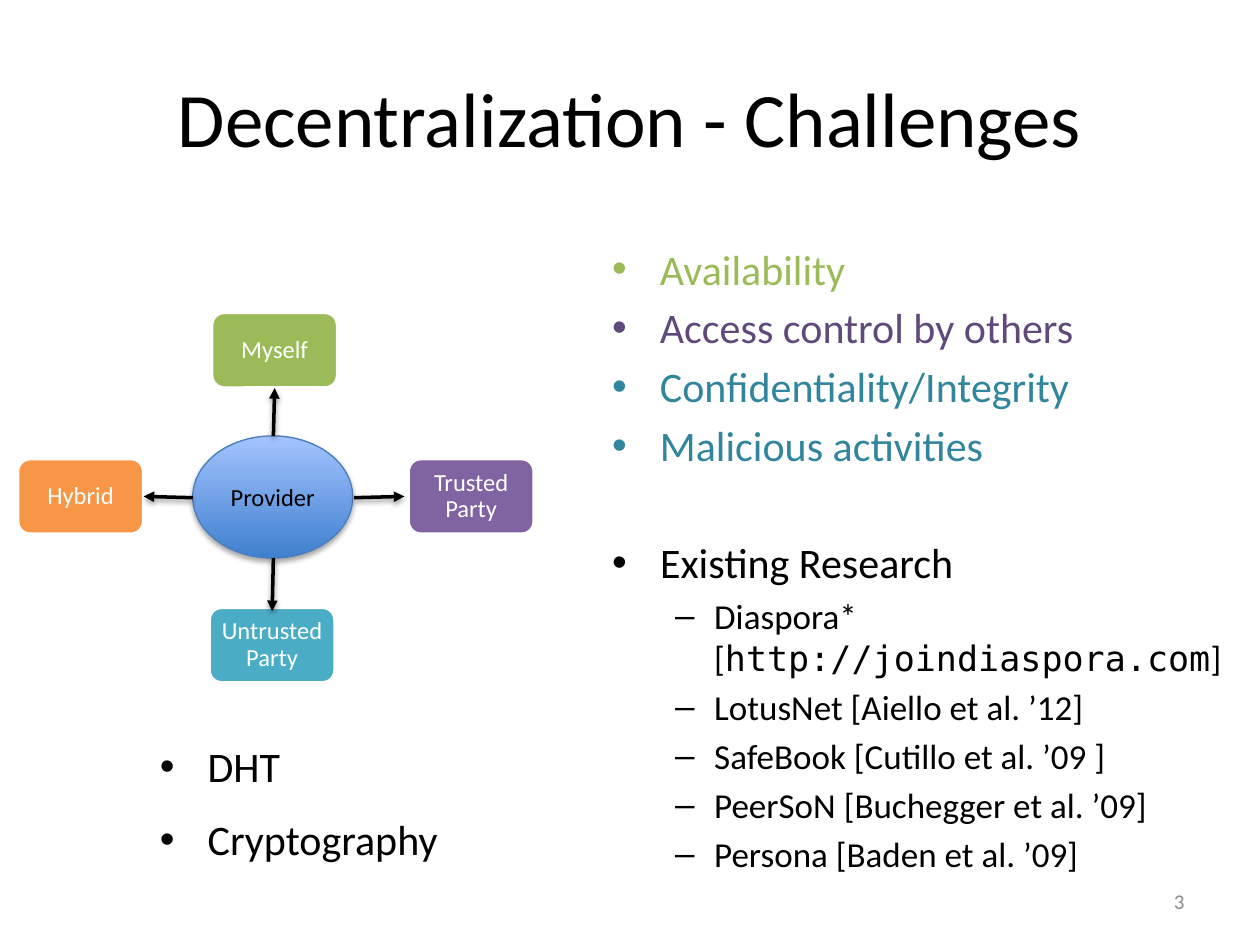
from dataclasses import dataclass

from lxml import etree
from pptx import Presentation
from pptx.dml.color import RGBColor
from pptx.enum.shapes import MSO_CONNECTOR, MSO_SHAPE
from pptx.enum.text import MSO_ANCHOR, PP_ALIGN
from pptx.oxml.ns import qn
from pptx.util import Inches, Pt

LEFT, MID, RIGHT = PP_ALIGN.LEFT, PP_ALIGN.CENTER, PP_ALIGN.RIGHT
TOP, CENTER = MSO_ANCHOR.TOP, MSO_ANCHOR.MIDDLE
OVAL, ROUND = MSO_SHAPE.OVAL, MSO_SHAPE.ROUNDED_RECTANGLE
LINE = MSO_CONNECTOR.STRAIGHT


@dataclass(frozen=True)
class Theme:
    font: str = "Calibri"
    mono: str = "DejaVu Sans Mono"
    black: str = "000000"
    white: str = "FFFFFF"
    gray: str = "8C8C8C"
    green: str = "9BBB59"
    purple: str = "8064A2"
    plum: str = "604A7B"
    orange: str = "F79646"
    aqua: str = "4BACC6"
    teal: str = "31859C"
    deep: str = "3F80CE"
    pale: str = "A4C4FF"
    edge: str = "4B7EBC"
    title: int = 44
    body: int = 24
    sub: int = 20
    label: int = 14
    small: int = 12


def rgb(color):
    return RGBColor.from_string(color)


def write(para, text, *, size, color, font):
    run = para.add_run()
    run.text = text
    run.font.size = Pt(size)
    run.font.name = font
    run.font.color.rgb = rgb(color)


def bullet(para, mark, left, hang):
    props = para._p.get_or_add_pPr()
    props.set("marL", str(Inches(left)))
    props.set("indent", str(-Inches(hang)))
    etree.SubElement(props, qn("a:buFont"), typeface="Arial")
    etree.SubElement(props, qn("a:buChar"), char=mark)


def shade(props, alpha, dist):
    for old in props.findall(qn("a:effectLst")):
        props.remove(old)
    effects = etree.SubElement(props, qn("a:effectLst"))
    drop = etree.SubElement(
        effects, qn("a:outerShdw"), blurRad=str(Pt(3.1)),
        dist=str(Pt(dist)), dir="5400000", rotWithShape="0")
    tint = etree.SubElement(drop, qn("a:srgbClr"), val="000000")
    etree.SubElement(tint, qn("a:alpha"), val=str(alpha * 1000))


class Deck:
    def __init__(self, slide, theme):
        self.slide = slide
        self.theme = theme

    def text(self, box, text, size, align, color):
        frame = self.frame(box, CENTER)
        self.fill(frame, text, size, align, color)

    def frame(self, box, anchor=TOP):
        shape = self.slide.shapes.add_textbox(*map(Inches, box))
        frame = shape.text_frame
        frame.word_wrap = True
        frame.vertical_anchor = anchor
        return frame

    def fill(self, frame, text, size, align, color):
        para = frame.paragraphs[0]
        para.alignment = align
        write(para, text, size=size, color=color, font=self.theme.font)
        return para

    def list(self, box, items, gap=None):
        t = self.theme
        frame = self.frame(box)
        for i, (level, color, runs) in enumerate(items):
            para = frame.paragraphs[0] if i == 0 else frame.add_paragraph()
            size = t.sub if level else t.body
            para.level = level
            para.alignment = LEFT
            bullet(para, *(("–", 0.81, 0.31) if level else ("•", 0.38, 0.38)))
            if i:
                para.space_before = Pt(gap or size * 0.2)
            for text, font in runs:
                write(para, text, size=size, color=color, font=font)

    def card(self, x, y, text, color):
        t = self.theme
        shape = self.slide.shapes.add_shape(
            ROUND, Inches(x), Inches(y), Inches(1), Inches(0.6))
        shape.shadow.inherit = False
        shape.fill.solid()
        shape.fill.fore_color.rgb = rgb(color)
        shape.line.color.rgb = rgb(t.white)
        shape.line.width = Pt(2)
        frame = shape.text_frame
        frame.word_wrap = True
        frame.vertical_anchor = CENTER
        frame.margin_left = frame.margin_right = Inches(0.05)
        frame.margin_top = frame.margin_bottom = Inches(0.05)
        para = self.fill(frame, text, t.label, MID, t.white)
        para.line_spacing = 0.9

    def hub(self, box, text):
        t = self.theme
        shape = self.slide.shapes.add_shape(OVAL, *map(Inches, box))
        shape.fill.gradient()
        shape.fill.gradient_angle = 90
        for stop, color in zip(shape.fill.gradient_stops, (t.deep, t.pale)):
            stop.color.rgb = rgb(color)
        shape.line.color.rgb = rgb(t.edge)
        shape.line.width = Pt(0.75)
        shade(shape._element.spPr, 35, 1.8)
        frame = shape.text_frame
        frame.word_wrap = True
        frame.vertical_anchor = CENTER
        self.fill(frame, text, t.label, MID, t.black)

    def arrow(self, start, end):
        line = self.slide.shapes.add_connector(
            LINE, *map(Inches, start + end))
        line.line.color.rgb = rgb(self.theme.black)
        line.line.width = Pt(2)
        etree.SubElement(
            line.line._get_or_add_ln(), qn("a:tailEnd"), type="triangle")
        shade(line._element.spPr, 38, 1.6)


def main():
    prs = Presentation()
    prs.slide_width, prs.slide_height = Inches(10), Inches(7.5)
    t = Theme()
    deck = Deck(prs.slides.add_slide(prs.slide_layouts[6]), t)

    deck.text((0.5, 0.3, 9, 1.25), "Decentralization - Challenges",
              t.title, MID, t.black)

    goals = (
        ("Availability", t.green),
        ("Access control by others", t.plum),
        ("Confidentiality/Integrity", t.teal),
        ("Malicious activities", t.teal),
    )
    deck.list((4.76, 1.88, 4.96, 2.06),
              [(0, color, [(text, t.font)]) for text, color in goals])

    deck.text((7.17, 6.95, 2.33, 0.4), "3", t.small, RIGHT, t.gray)

    deck.hub((1.53, 3.46, 1.27, 0.97), "Provider")
    for x, y, text, color in (
        (3.24, 3.64, "Trusted Party", t.purple),
        (1.68, 2.48, "Myself", t.green),
        (0.14, 3.64, "Hybrid", t.orange),
        (1.66, 4.82, "Untrusted Party", t.aqua),
    ):
        deck.card(x, y, text, color)
    for start, end in (
        ((2.81, 3.95), (3.21, 3.94)),
        ((2.17, 3.46), (2.18, 3.08)),
        ((1.53, 3.95), (1.14, 3.94)),
        ((2.17, 4.43), (2.16, 4.85)),
    ):
        deck.arrow(start, end)

    works = (
        "LotusNet [Aiello et al. ’12]",
        "SafeBook [Cutillo et al. ’09 ]",
        "PeerSoN [Buchegger et al. ’09]",
        "Persona [Baden et al. ’09]",
    )
    link = [("Diaspora* [", t.font), ("http://joindiaspora.com", t.mono),
            ("]", t.font)]
    deck.list((4.76, 4.21, 5.12, 3.01), [
        (0, t.black, [("Existing Research", t.font)]),
        (1, t.black, link),
        *((1, t.black, [(text, t.font)]) for text in works),
    ])
    deck.list((1.17, 5.83, 3.29, 1.29),
              [(0, t.black, [(text, t.font)])
               for text in ("DHT", "Cryptography")], gap=12.8)

    prs.save("out.pptx")


if __name__ == "__main__":
    main()
